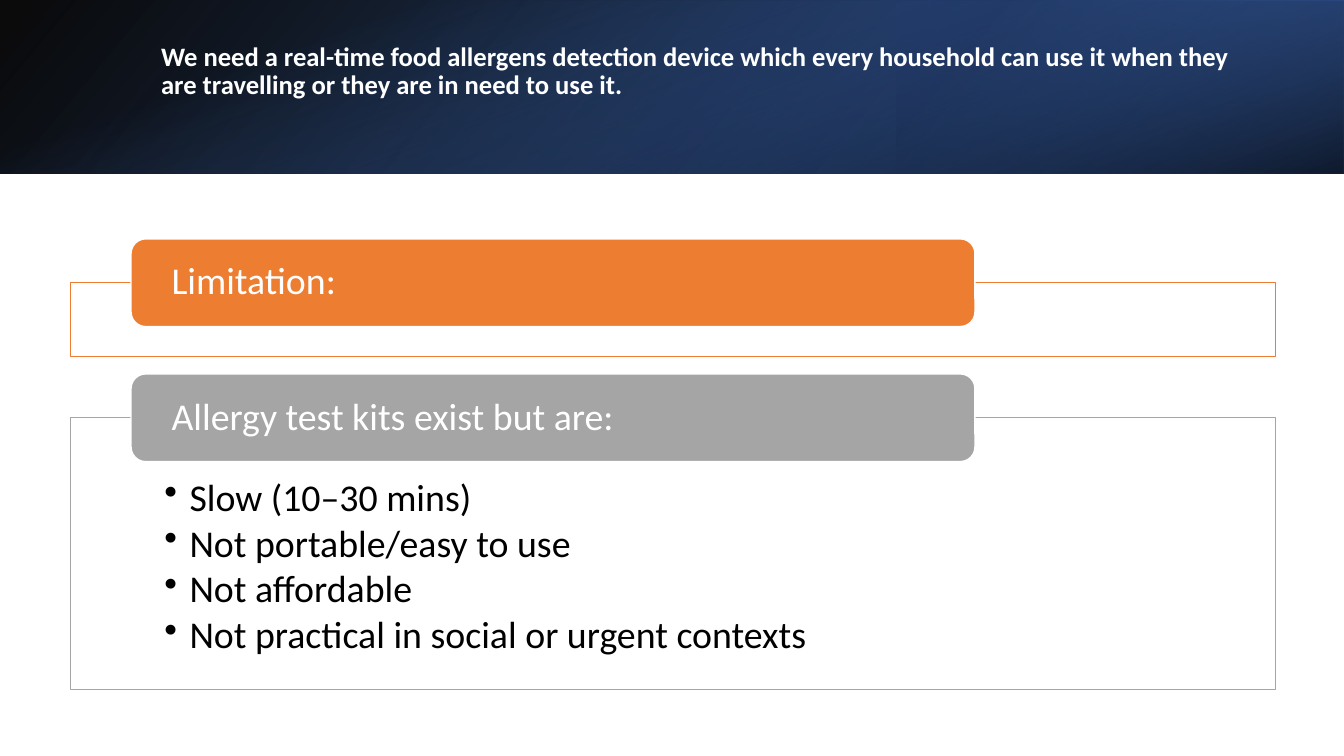
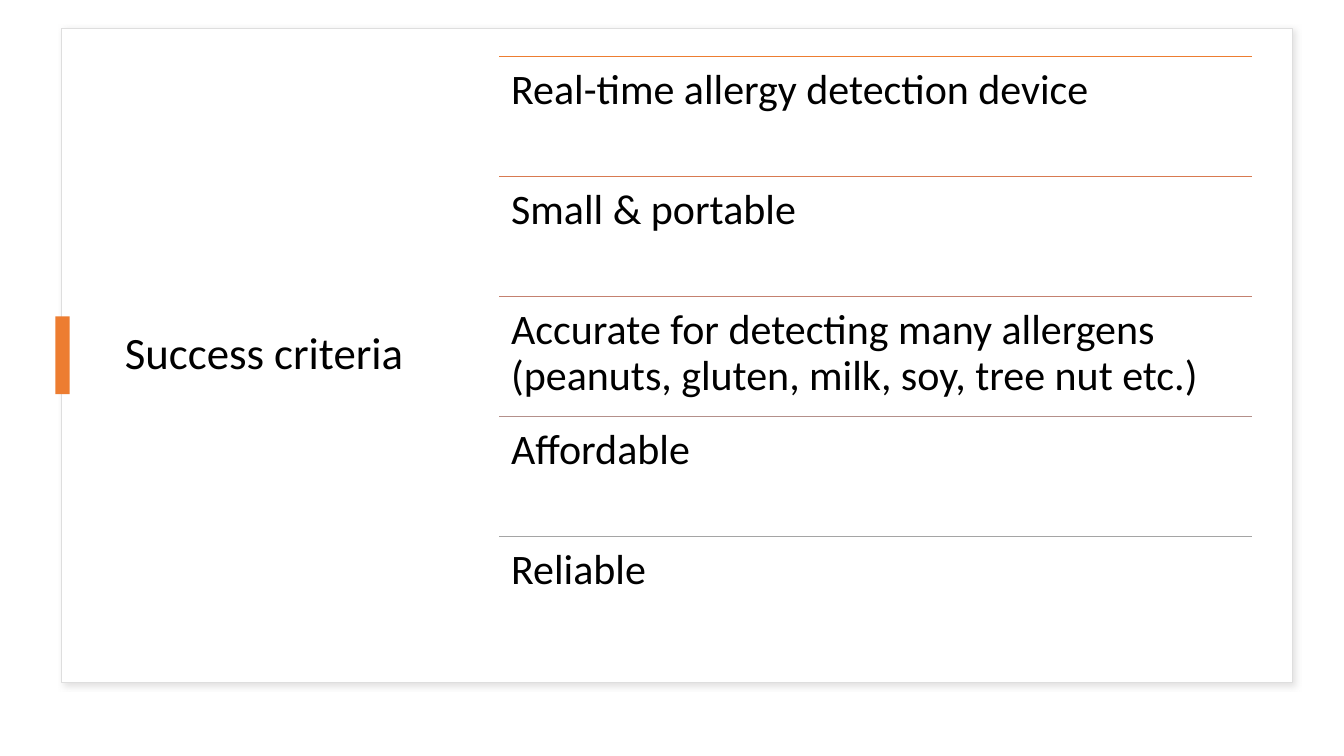
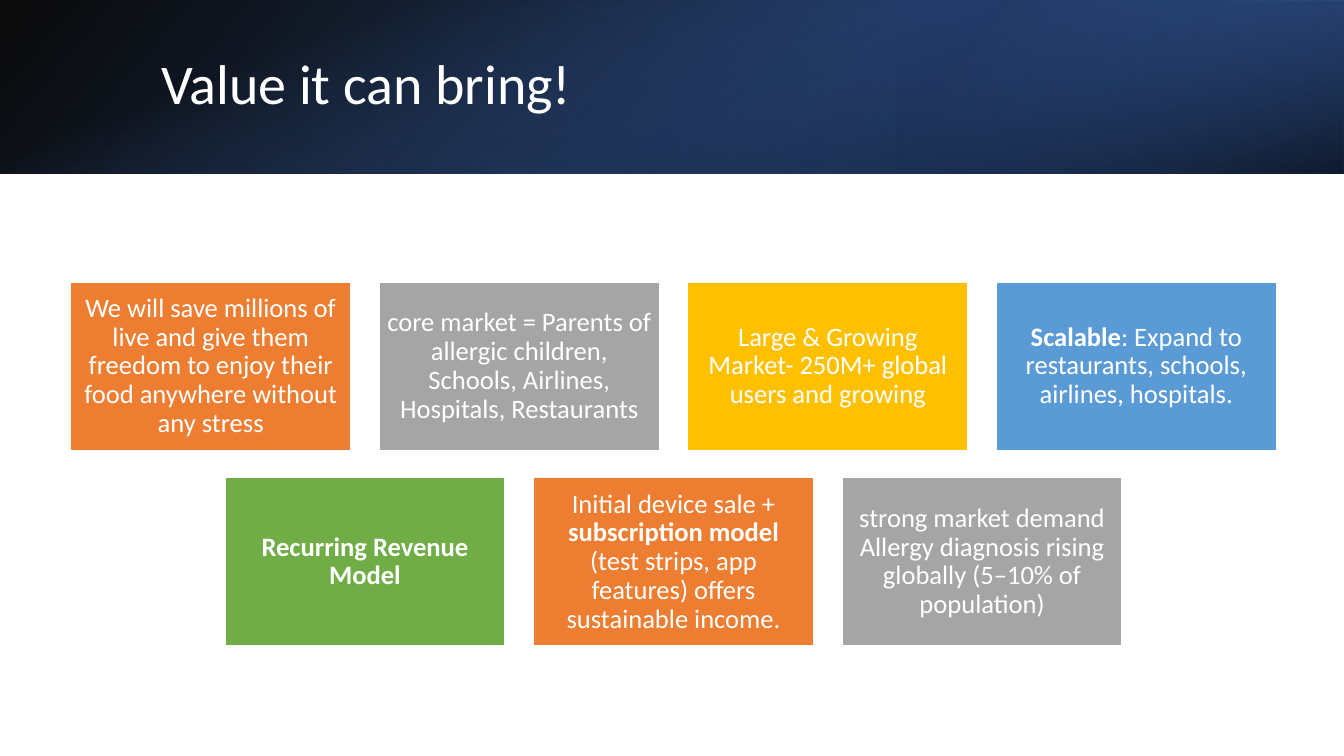
from lxml.etree import SubElement
from pptx import Presentation
from pptx.dml.color import RGBColor
from pptx.enum.shapes import MSO_CONNECTOR, MSO_SHAPE
from pptx.enum.text import MSO_ANCHOR, PP_ALIGN
from pptx.oxml.ns import qn
from pptx.util import Inches, Pt

WHITE, BLACK, ORANGE, GREY = "FFFFFF", "000000", "ED7D31", "A5A5A5"
GOLD, BLUE, GREEN = "FFC000", "5B9BD5", "70AD47"
RECT, ROUNDED = MSO_SHAPE.RECTANGLE, MSO_SHAPE.ROUNDED_RECTANGLE


def rgb(value):
    return RGBColor.from_string(value)


def add_color(parent, value, opacity):
    color = SubElement(parent, qn("a:srgbClr"), val=value)
    SubElement(color, qn("a:alpha"), val=str(opacity * 1000))


class Deck:
    """Holds the shared style and the slide being built."""

    FONT = "Calibri"
    BAND_HEIGHT = 1.72
    BAND_LAYERS = [
        dict(box=(0, 0, 13.33, BAND_HEIGHT), rotation=0, flip=True, angle=140,
             stops=[(0, BLACK, 96), (100, "2F5597", 100)]),
        dict(box=(8.89, 0, 4.44, BAND_HEIGHT), rotation=180, flip=True, angle=320,
             stops=[(19, "203864", 68), (100, "4472C4", 79)]),
        dict(box=(5.8, -5.8, BAND_HEIGHT, 13.33), rotation=90, flip=False, angle=340,
             stops=[(23, "4472C4", 0), (99, BLACK, 74)]),
    ]

    def __init__(self):
        self.presentation = Presentation()
        self.presentation.slide_width = Inches(13.33)
        self.presentation.slide_height = Inches(7.5)
        self.slide = None

    def new_slide(self):
        self.slide = self.presentation.slides.add_slide(self.presentation.slide_layouts[6])

    def shape(self, box, fill=None, line=None, kind=RECT):
        shape = self.slide.shapes.add_shape(kind, *map(Inches, box))
        shape.shadow.inherit = False
        if fill:
            shape.fill.solid()
            shape.fill.fore_color.rgb = rgb(fill)
        if line:
            shape.line.color.rgb = rgb(line)
            shape.line.width = Pt(1)
        else:
            shape.line.fill.background()
        return shape

    def gradient(self, box, rotation, flip, angle, stops):
        shape = self.shape(box)
        shape.rotation = rotation
        properties = shape.element.spPr
        if flip:
            properties.find(qn("a:xfrm")).set("flipH", "1")
        gradient = SubElement(properties, qn("a:gradFill"))
        stop_list = SubElement(gradient, qn("a:gsLst"))
        for position, color, opacity in stops:
            stop = SubElement(stop_list, qn("a:gs"), pos=str(position * 1000))
            add_color(stop, color, opacity)
        SubElement(gradient, qn("a:lin"), ang=str(angle * 60000), scaled="0")
        properties.find(qn("a:prstGeom")).addnext(gradient)

    def card(self, box):
        shape = self.shape(box, WHITE, "DEDEDE")
        effects = shape.element.spPr.find(qn("a:effectLst"))
        shadow = SubElement(effects, qn("a:outerShdw"), blurRad=str(Pt(4)), dist=str(Pt(3)),
                            dir=str(45 * 60000), algn="tl", rotWithShape="0")
        add_color(shadow, "C5C3C3", 50)

    def fill_text(self, shape, paragraphs, size, color, anchor=MSO_ANCHOR.MIDDLE,
                  insets=(0.1, 0.05, 0.1, 0.05), align=PP_ALIGN.LEFT, bullets=False):
        frame = shape.text_frame
        left, top, right, bottom = map(Inches, insets)
        frame_format = {"word_wrap": True, "vertical_anchor": anchor, "margin_left": left,
                        "margin_top": top, "margin_right": right, "margin_bottom": bottom}
        for name, value in frame_format.items():
            setattr(frame, name, value)
        for index, runs in enumerate(paragraphs):
            paragraph = frame.add_paragraph() if index else frame.paragraphs[0]
            paragraph.alignment = align
            paragraph.line_spacing = 0.9
            if bullets:
                self.bullet(paragraph)
            for text, bold in runs:
                run = paragraph.add_run()
                run.text = text
                run.font.color.rgb = rgb(color)
                for name, value in {"name": self.FONT, "size": Pt(size), "bold": bold}.items():
                    setattr(run.font, name, value)

    def bullet(self, paragraph):
        paragraph.space_after = Pt(3.5)
        properties = paragraph._p.get_or_add_pPr()
        properties.set("marL", str(Inches(0.25)))
        properties.set("indent", str(Inches(-0.25)))
        SubElement(properties, qn("a:buChar"), char="•")

    def text(self, box, text, size, color=BLACK, bold=False, **style):
        text_box = self.slide.shapes.add_textbox(*map(Inches, box))
        self.fill_text(text_box, [[(text, bold)]], size, color, **style)

    def rule(self, left, top, right, color):
        line = self.slide.shapes.add_connector(
            MSO_CONNECTOR.STRAIGHT, *map(Inches, (left, top, right, top)))
        line.line.color.rgb = rgb(color)
        line.line.width = Pt(1)
        SubElement(line.element.spPr, qn("a:effectLst"))

    def banded_slide(self, title, size, **style):
        self.new_slide()
        for layer in self.BAND_LAYERS:
            self.gradient(**layer)
        self.text((1.5, 0.38, 10.98, 0.96), title, size, WHITE, **style)

    def section(self, top, height, heading, color, items=()):
        panel = self.shape((0.7, top, 11.95, height), WHITE, color)
        self.fill_text(panel, [[(item, False)] for item in items], 27, BLACK,
                       MSO_ANCHOR.TOP, (0.93, 0.61, 0.93, 0.21), bullets=True)
        bar = self.shape((1.3, top - 0.43, 8.37, 0.87), color, WHITE, ROUNDED)
        self.fill_text(bar, [[(heading, False)]], 27, WHITE, insets=(0.36, 0, 0.36, 0))

    def tile_row(self, top, tiles):
        width, gap, center = 2.78, 0.28, 6.68
        first = center - (len(tiles) * (width + gap) - gap) / 2
        for index, (color, runs) in enumerate(tiles):
            tile = self.shape((first + index * (width + gap), top, width, 1.67), color, WHITE)
            self.fill_text(tile, [runs], 19, WHITE, insets=(0.08,) * 4, align=PP_ALIGN.CENTER)


def main():
    deck = Deck()

    deck.banded_slide(
        "We need a real-time food allergens detection device which every household can use it "
        "when they are travelling or they are in need to use it.",
        19, bold=True, anchor=MSO_ANCHOR.TOP)
    deck.section(2.8, 0.74, "Limitation:", ORANGE)
    deck.section(4.14, 2.7, "Allergy test kits exist but are:", GREY, [
        "Slow (10–30 mins)", "Not portable/easy to use", "Not affordable",
        "Not practical in social or urgent contexts"])

    deck.new_slide()
    deck.card((0.61, 0.28, 12.21, 6.49))
    deck.text((1.14, 0.55, 3.27, 5.95), "Success criteria", 32)
    deck.shape((0.55, 3.14, 0.14, 0.77), ORANGE)
    criteria = [
        (ORANGE, "Real-time allergy detection device"),
        ("D87A51", "Small & portable"),
        ("C48170", "Accurate for detecting many allergens (peanuts, gluten, milk, soy, tree nut etc.)"),
        ("B4908B", "Affordable"),
        (GREY, "Reliable"),
    ]
    row_height = 1.19
    for index, (color, criterion) in enumerate(criteria):
        top = 0.56 + index * row_height
        deck.rule(4.95, top, 12.42, color)
        deck.text((4.95, top, 7.47, row_height), criterion, 30,
                  anchor=MSO_ANCHOR.TOP, insets=(0.12,) * 4)

    deck.banded_slide("Value it can bring!", 40)
    deck.tile_row(2.8, [
        (ORANGE, [("We will save millions of live and give them freedom to enjoy their food "
                   "anywhere without any stress", False)]),
        (GREY, [("core market = Parents of allergic children, Schools, Airlines, Hospitals, "
                 "Restaurants", False)]),
        (GOLD, [("Large & Growing Market- 250M+ global users and growing", False)]),
        (BLUE, [("Scalable", True),
                (": Expand to restaurants, schools, airlines, hospitals.", False)]),
    ])
    deck.tile_row(4.74, [
        (GREEN, [("Recurring Revenue Model", True)]),
        (ORANGE, [("Initial device sale + ", False), ("subscription model", True),
                  (" (test strips, app features) offers sustainable income.", False)]),
        (GREY, [("strong market demand Allergy diagnosis rising globally "
                 "(5–10% of population)", False)]),
    ])

    deck.presentation.save("out.pptx")


if __name__ == "__main__":
    main()
